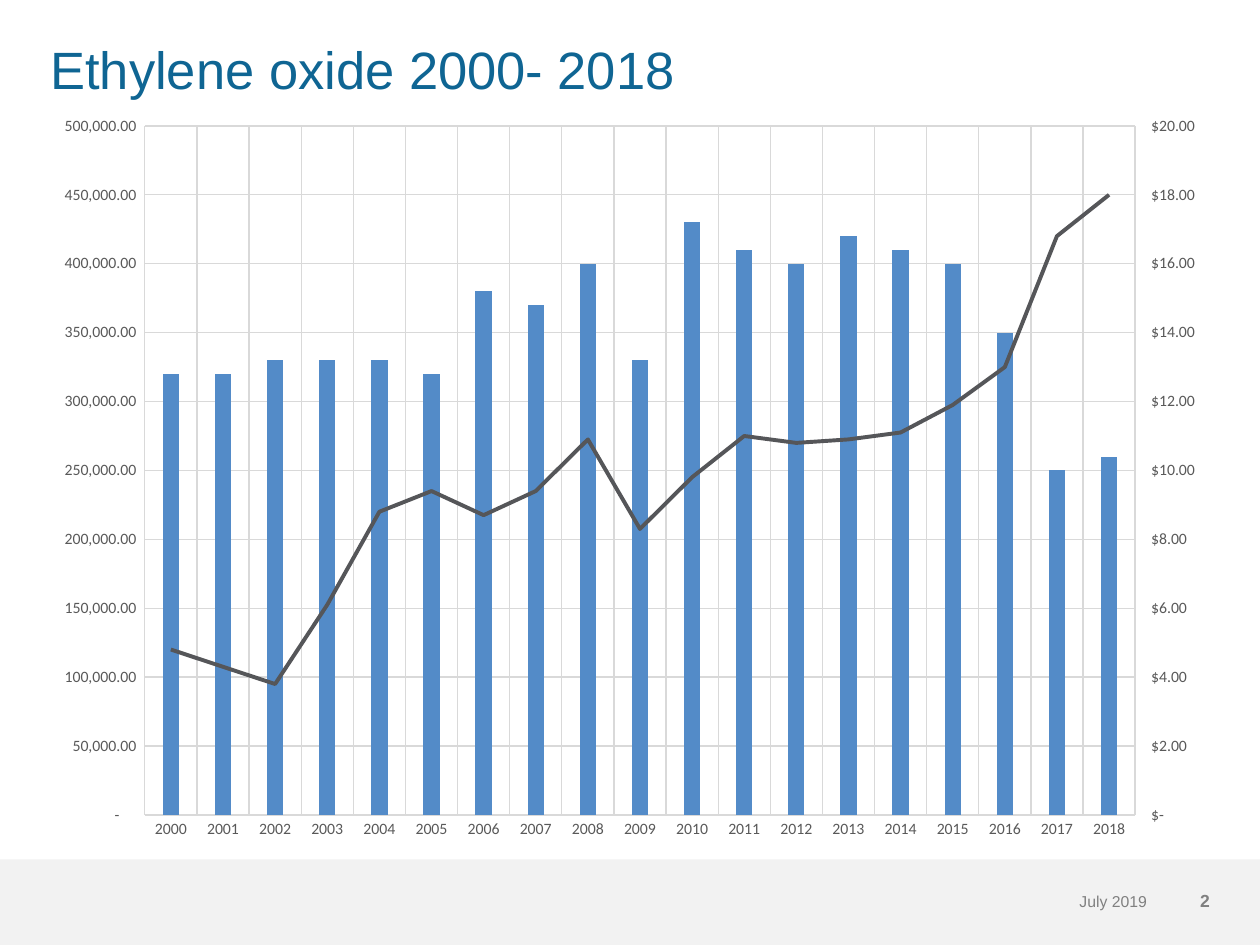
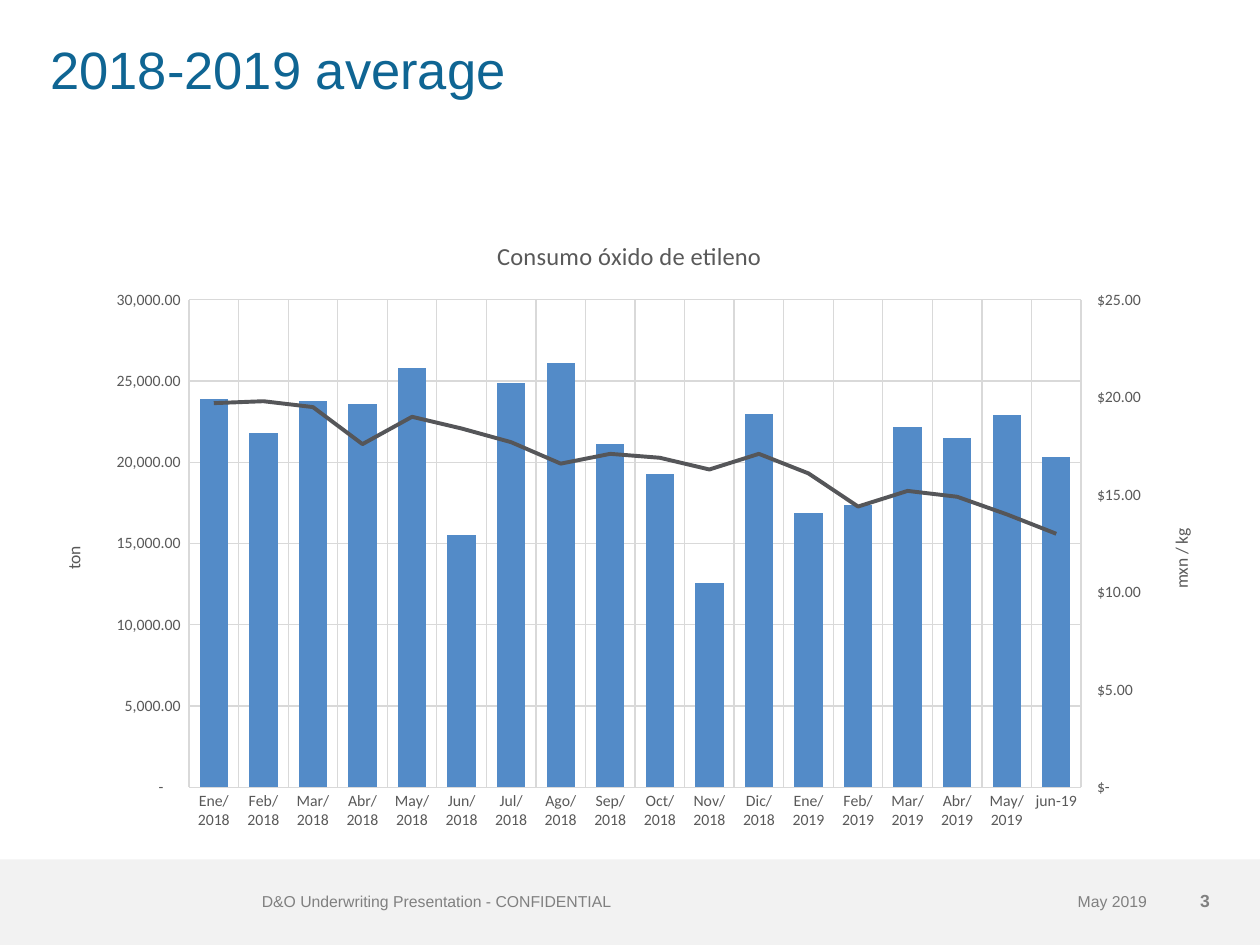
from pptx import Presentation
from pptx.chart.axis import ValueAxis
from pptx.chart.data import CategoryChartData as ChartData
from pptx.dml.color import RGBColor
from pptx.enum.chart import XL_CHART_TYPE as Kind
from pptx.enum.chart import XL_MARKER_STYLE as Marker
from pptx.enum.chart import XL_TICK_MARK as Tick
from pptx.enum.shapes import MSO_SHAPE as Shape
from pptx.enum.text import MSO_ANCHOR as Anchor
from pptx.enum.text import MSO_AUTO_SIZE as Fit
from pptx.enum.text import PP_ALIGN as Align
from pptx.oxml import parse_xml
from pptx.oxml.ns import nsdecls
from pptx.util import Inches, Pt

TEAL = RGBColor(0x0F, 0x65, 0x93)
BLUE = RGBColor(0x53, 0x8B, 0xC8)
DARK = RGBColor(0x55, 0x56, 0x59)
SLATE = RGBColor(0x59, 0x59, 0x59)
GRAY = RGBColor(0x80, 0x80, 0x80)
RULE = RGBColor(0xD9, 0xD9, 0xD9)
PALE = RGBColor(0xF2, 0xF2, 0xF2)
BLACK = RGBColor(0, 0, 0)

TONS = '_(* #,##0.00_);_(* \\(#,##0.00\\);_(* "-"??_);_(@_)'
PRICE = '_("$"* #,##0.00_);_("$"* \\(#,##0.00\\);_("$"* "-"??_);_(@_)'

YEARS = [str(year) for year in range(2000, 2019)]
YEAR_TONS = [320000, 320000, 330000, 330000, 330000, 320000, 380000, 370000,
             400000, 330000, 430000, 410000, 400000, 420000, 410000, 400000,
             350000, 250000, 260000]
YEAR_COST = [4.8, 4.3, 3.8, 6.1, 8.8, 9.4, 8.7, 9.4, 10.9, 8.3, 9.8, 11,
             10.8, 10.9, 11.1, 11.9, 13, 16.8, 18]

NAMES = "Ene Feb Mar Abr May Jun Jul Ago Sep Oct Nov Dic".split()
MONTHS = ([f"{name}/2018" for name in NAMES]
          + [f"{name}/2019" for name in NAMES[:5]] + ["jun-19"])
MONTH_TONS = [23900, 21800, 23800, 23600, 25800, 15500, 24900, 26100, 21100,
              19300, 12600, 23000, 16900, 17400, 22200, 21500, 22900, 20300]
MONTH_COST = [19.7, 19.8, 19.5, 17.6, 19, 18.4, 17.7, 16.6, 17.1, 16.9, 16.3,
              17.1, 16.1, 14.4, 15.2, 14.9, 14, 13]


def style(font, size, color, face="Arial", bold=False):
    font.size = Pt(size)
    font.name = face
    font.bold = bold
    font.color.rgb = color


def add_run(para, text, *look, **more):
    run = para.add_run()
    run.text = text
    style(run.font, *look, **more)


def add_title(slide, text):
    title = slide.shapes.title
    title.left, title.top = Inches(0.3), Inches(0.3)
    title.width, title.height = Inches(9.41), Inches(1.45)
    frame = title.text_frame
    frame.auto_size = Fit.NONE
    frame.word_wrap = True
    frame.vertical_anchor = Anchor.TOP
    para = frame.paragraphs[0]
    para.alignment = Align.LEFT
    para.line_spacing = 0.9
    add_run(para, text, 30, TEAL)


def add_band(slide):
    band = slide.shapes.add_shape(
        Shape.RECTANGLE, 0, Inches(6.82), Inches(10), Inches(0.68))
    band.shadow.inherit = False
    band.fill.solid()
    band.fill.fore_color.rgb = PALE
    band.line.fill.background()


def add_note(slide, text, left, width, align=Align.RIGHT, size=9, bold=False):
    box = slide.shapes.add_textbox(
        Inches(left), Inches(6.95), Inches(width), Inches(0.4))
    frame = box.text_frame
    frame.word_wrap = True
    frame.vertical_anchor = Anchor.MIDDLE
    para = frame.paragraphs[0]
    para.alignment = align
    add_run(para, text, size, GRAY, bold=bold)


def add_page(deck, title, date, number, note=None):
    slide = deck.slides.add_slide(deck.slide_layouts[5])
    add_band(slide)
    add_title(slide, title)
    add_note(slide, date, 7.51, 1.69)
    if note:
        add_note(slide, note, 1.98, 5.53, Align.LEFT)
    add_note(slide, number, 9.2, 0.5, size=10, bold=True)
    return slide


def make_place(area, spot, inner=False):
    left, top, width, height = area
    parts = {"x": (spot[0] - left) / width, "y": (spot[1] - top) / height}
    if inner:
        parts.update(w=spot[2] / width, h=spot[3] / height)
    target = '<c:layoutTarget val="inner"/>' if inner else ""
    modes = "".join(f'<c:{key}Mode val="edge"/>' for key in "xy")
    sizes = "".join(f'<c:{key} val="{val:.4f}"/>' for key, val in parts.items())
    return parse_xml(f'<c:layout {nsdecls("c")}><c:manualLayout>'
                     f'{target}{modes}{sizes}</c:manualLayout></c:layout>')


def drop(node, query):
    for child in node.xpath(query):
        node.remove(child)


def add_label(title, text, size, area, spot, turned=False):
    add_run(title.text_frame.paragraphs[0], text, size, SLATE, "Calibri")
    node = title.element
    if turned:
        body = node.xpath("c:tx/c:rich/a:bodyPr")[0]
        body.set("rot", "-5400000")
        body.set("vert", "horz")
    drop(node, "c:layout")
    node.xpath("c:tx")[0].addnext(make_place(area, spot))


def add_right(plot):
    bars = plot.xpath("c:barChart")[0]
    costs = bars.xpath("c:ser")[1]
    drop(costs, "c:invertIfNegative")
    lines = parse_xml(
        f'<c:lineChart {nsdecls("c")}><c:grouping val="standard"/>'
        '<c:varyColors val="0"/><c:marker val="1"/>'
        '<c:axId val="5001"/><c:axId val="5002"/></c:lineChart>')
    lines.insert(2, costs)
    bars.addnext(lines)

    def make_axis(tag, own, other, side, hide, rest):
        return parse_xml(
            f'<c:{tag} {nsdecls("c")}><c:axId val="{own}"/>'
            '<c:scaling><c:orientation val="minMax"/></c:scaling>'
            f'<c:delete val="{hide}"/><c:axPos val="{side}"/>'
            '<c:majorTickMark val="out"/><c:minorTickMark val="none"/>'
            f'<c:tickLblPos val="nextTo"/><c:crossAx val="{other}"/>'
            f'{rest}</c:{tag}>')

    right = make_axis("valAx", 5002, 5001, "r", 0,
                      '<c:crosses val="max"/><c:crossBetween val="between"/>')
    base = make_axis("catAx", 5001, 5002, "b", 1,
                     '<c:crosses val="autoZero"/>')
    last = plot.xpath("c:valAx")[-1]
    last.addnext(right)
    right.addnext(base)
    return ValueAxis(right)


def draw_rule(line):
    line.color.rgb = RULE
    line.width = Pt(0.75)


def set_ticks(axis, mark):
    axis.major_tick_mark = mark
    axis.minor_tick_mark = Tick.NONE
    style(axis.tick_labels.font, 9, SLATE, "Calibri")


def set_scale(axis, top, step, form, mark):
    set_ticks(axis, mark)
    axis.minimum_scale, axis.maximum_scale = 0, top
    axis.major_unit = step
    axis.tick_labels.number_format = form
    axis.tick_labels.number_format_is_linked = False
    axis.format.line.fill.background()


def add_combo(slide, area, inner, cats, tons, costs, left, right, gap, lap=0):
    data = ChartData()
    data.categories = cats
    data.add_series("Series 1", tons)
    data.add_series("Series 2", costs)
    chart = slide.shapes.add_chart(
        Kind.COLUMN_CLUSTERED, *map(Inches, area), data).chart
    chart.has_legend = False
    chart.has_title = False
    style(chart.font, 10, BLACK, "Calibri")

    plot = chart.element.xpath("c:chart/c:plotArea")[0]
    main_side = chart.value_axis
    side = add_right(plot)
    drop(plot, "c:layout")
    plot.insert(0, make_place(area, inner, True))

    bars, lines = chart.plots
    bars.vary_by_categories = False
    bars.gap_width, bars.overlap = gap, lap
    fill = bars.series[0].format.fill
    fill.solid()
    fill.fore_color.rgb = BLUE
    cost = lines.series[0]
    cost.smooth = False
    cost.marker.style = Marker.NONE
    cost.format.line.color.rgb = DARK
    cost.format.line.width = Pt(2.25)

    base = chart.category_axis
    set_ticks(base, Tick.NONE)
    draw_rule(base.format.line)
    set_scale(main_side, *left, TONS, Tick.NONE)
    set_scale(side, *right, PRICE, Tick.OUTSIDE)
    for axis in (base, main_side):
        axis.has_major_gridlines = True
        draw_rule(axis.major_gridlines.format.line)
    return chart, main_side, side


def main():
    deck = Presentation()
    deck.slide_width, deck.slide_height = Inches(10), Inches(7.5)

    slide = add_page(deck, "Ethylene oxide 2000- 2018", "July 2019", "2")
    add_combo(slide, (0.3, 0.8, 9.41, 5.97), (1.15, 1, 7.86, 5.47),
              YEARS, YEAR_TONS, YEAR_COST, (500000, 50000), (20, 2), 219)

    slide = add_page(deck, "2018-2019 average", "May 2019", "3",
                     "D&O Underwriting Presentation - CONFIDENTIAL")
    area = (0.3, 1.72, 9.4, 4.95)
    chart, left, right = add_combo(
        slide, area, (1.5, 2.38, 7.08, 3.87), MONTHS, MONTH_TONS, MONTH_COST,
        (30000, 5000), (25, 5), 75, -25)
    chart.has_title = True
    add_label(chart.chart_title, "Consumo óxido de etileno", 14, area,
              (3.91, 1.86))
    add_label(left.axis_title, "ton", 10, area, (0.47, 4.31), True)
    add_label(right.axis_title, "mxn / kg", 10, area, (9.26, 4.17), True)

    deck.save("out.pptx")


if __name__ == "__main__":
    main()
